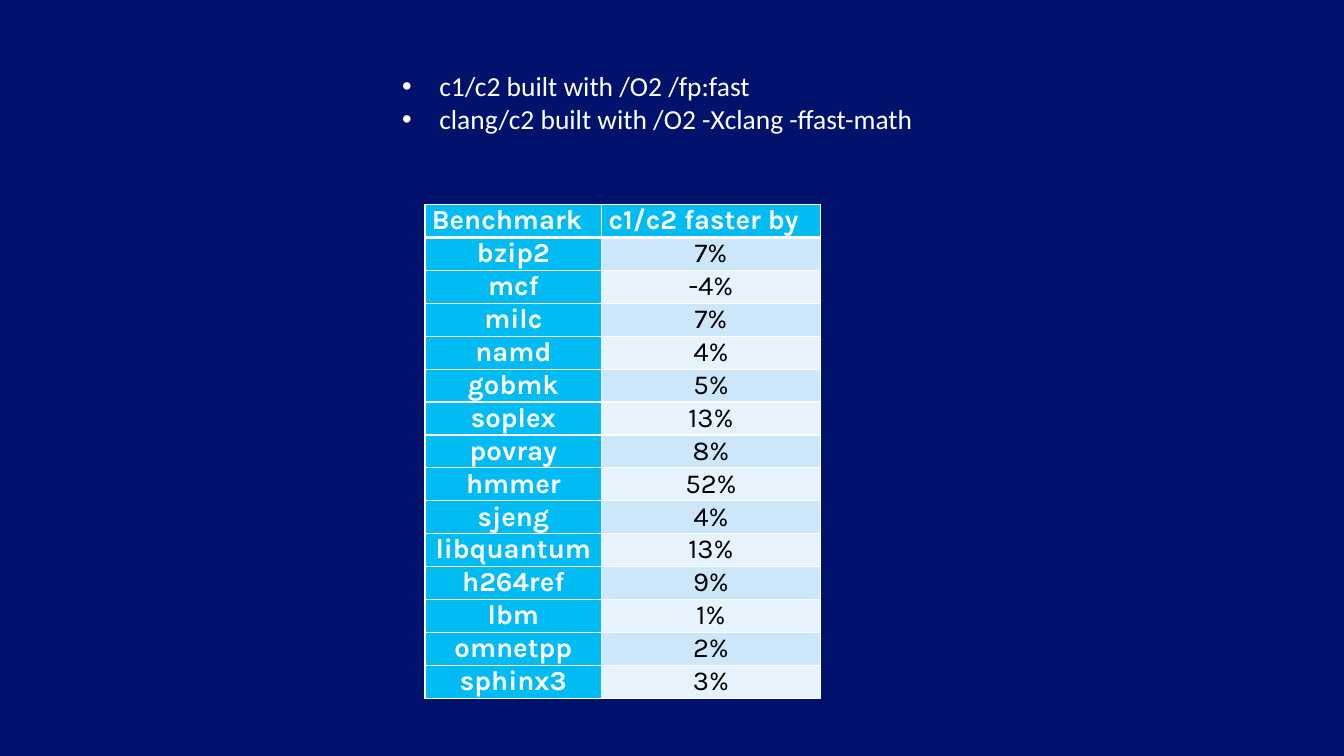
from dataclasses import dataclass

from lxml import etree
from pptx import Presentation
from pptx.dml.color import RGBColor
from pptx.enum import text
from pptx.oxml import ns
from pptx.util import Pt


@dataclass(frozen=True)
class Theme:
    background: str = "00126B"
    light: str = "FFFFFF"
    dark: str = "000000"
    accent: str = "00BCF2"
    bands: tuple = ("CCE7FA", "E7F3FC")
    list_font: str = "Calibri"
    table_font: str = "Karla"
    size: int = 20


THEME = Theme()

BUILD_FLAGS = [
    "c1/c2 built with /O2 /fp:fast",
    "clang/c2 built with /O2 -Xclang -ffast-math",
]
HEADINGS = ("Benchmark", "c1/c2 faster by")
RESULTS = [
    ("bzip2", "7%"),
    ("mcf", "-4%"),
    ("milc", "7%"),
    ("namd", "4%"),
    ("gobmk", "5%"),
    ("soplex", "13%"),
    ("povray", "8%"),
    ("hmmer", "52%"),
    ("sjeng", "4%"),
    ("libquantum", "13%"),
    ("h264ref", "9%"),
    ("lbm", "1%"),
    ("omnetpp", "2%"),
    ("sphinx3", "3%"),
]
COLUMN_WIDTHS = (128.88, 159.12)
ROW_HEIGHT = 24


def style_runs(paragraph, font_name, color, bold=False):
    for run in paragraph.runs:
        run.font.name = font_name
        run.font.size = Pt(THEME.size)
        run.font.bold = bold
        run.font.color.rgb = RGBColor.from_string(color)


def add_bullet(paragraph, indent):
    properties = paragraph._p.get_or_add_pPr()
    properties.set("marL", str(Pt(indent)))
    properties.set("indent", str(-Pt(indent)))
    etree.SubElement(properties, ns.qn("a:buFont"), typeface="Arial")
    etree.SubElement(properties, ns.qn("a:buChar"), char="•")


def fill_list(placeholder, items, left, top, width, height):
    placeholder.left, placeholder.top = Pt(left), Pt(top)
    placeholder.width, placeholder.height = Pt(width), Pt(height)
    frame = placeholder.text_frame
    frame.text = "\n".join(items)
    frame.word_wrap = True
    frame.auto_size = text.MSO_AUTO_SIZE.NONE
    frame.vertical_anchor = text.MSO_ANCHOR.TOP
    for paragraph in frame.paragraphs:
        paragraph.space_before = Pt(0)
        add_bullet(paragraph, 27)
        style_runs(paragraph, THEME.list_font, THEME.light)


def set_borders(cell, top, bottom):
    properties = cell._tc.get_or_add_tcPr()
    widths = {"lnL": 1, "lnR": 1, "lnT": top, "lnB": bottom}
    for position, (side, width) in enumerate(widths.items()):
        line = etree.Element(ns.qn(f"a:{side}"), w=str(Pt(width)))
        fill = etree.SubElement(line, ns.qn("a:solidFill"))
        etree.SubElement(fill, ns.qn("a:srgbClr"), val=THEME.light)
        properties.insert(position, line)


def fill_cell(cell, value, row, column):
    is_header = row == 0
    is_label = is_header or column == 0
    cell.margin_left = cell.margin_right = Pt(5)
    cell.margin_top = cell.margin_bottom = Pt(0)
    cell.fill.solid()
    fill_color = THEME.accent if is_label else THEME.bands[(row - 1) % 2]
    cell.fill.fore_color.rgb = RGBColor.from_string(fill_color)
    set_borders(cell, 3 if row == 1 else 1, 3 if is_header else 1)
    cell.text_frame.text = value
    paragraph = cell.text_frame.paragraphs[0]
    paragraph.alignment = text.PP_ALIGN.LEFT if is_header else text.PP_ALIGN.CENTER
    style_runs(paragraph, THEME.table_font, THEME.light if is_label else THEME.dark, is_label)


def add_results_table(slide, left, top):
    rows = [HEADINGS, *RESULTS]
    table = slide.shapes.add_table(
        len(rows), len(HEADINGS), Pt(left), Pt(top),
        Pt(sum(COLUMN_WIDTHS)), Pt(ROW_HEIGHT * len(rows)),
    ).table
    table.first_col = True
    for column, width in zip(table.columns, COLUMN_WIDTHS):
        column.width = Pt(width)
    for row, values in enumerate(rows):
        table.rows[row].height = Pt(ROW_HEIGHT)
        for column, value in enumerate(values):
            fill_cell(table.cell(row, column), value, row, column)


def main():
    presentation = Presentation()
    presentation.slide_width, presentation.slide_height = Pt(979.2), Pt(550.8)
    slide = presentation.slides.add_slide(presentation.slide_layouts[1])
    slide.background.fill.solid()
    slide.background.fill.fore_color.rgb = RGBColor.from_string(THEME.background)
    title = slide.shapes.title.element
    title.getparent().remove(title)
    add_results_table(slide, 309.6, 149.04)
    fill_list(slide.placeholders[1], BUILD_FLAGS, 285.84, 46.8, 390.24, 56)
    presentation.save("out.pptx")


if __name__ == "__main__":
    main()
